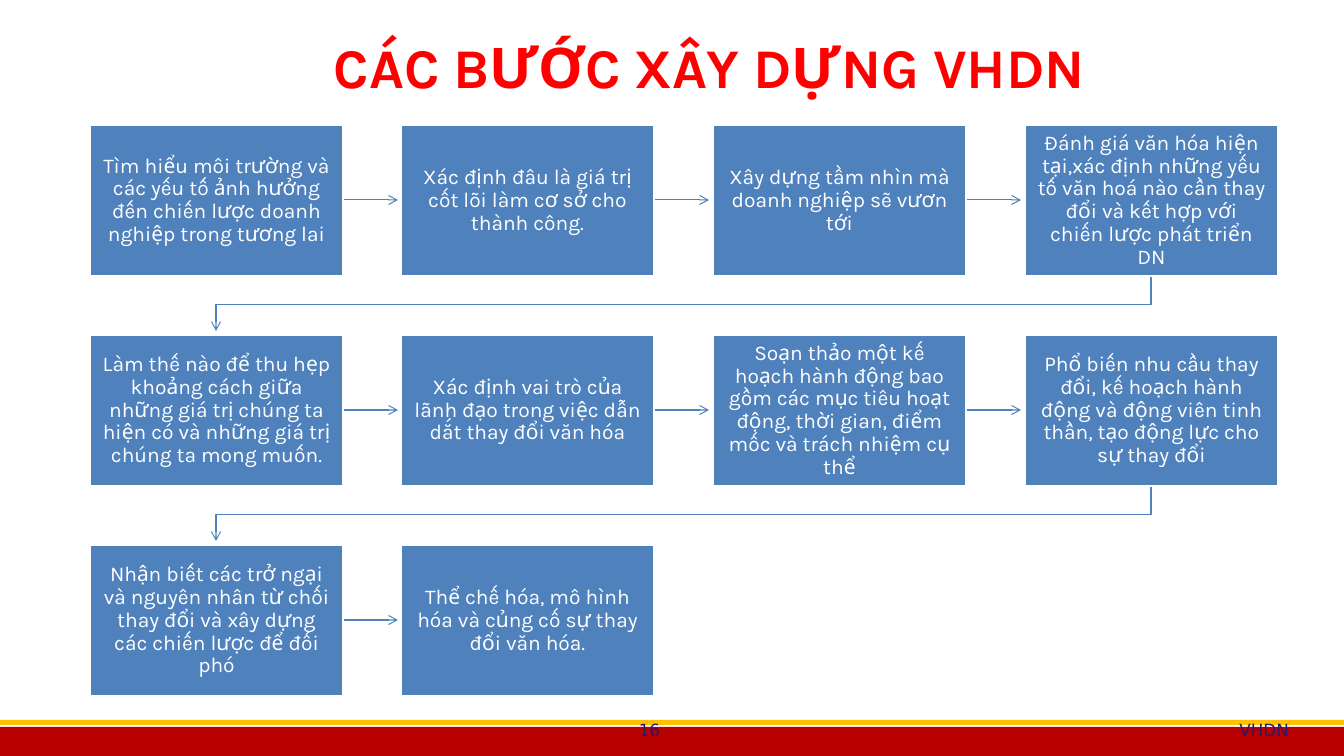
from dataclasses import dataclass
from lxml.etree import SubElement as Sub
from pptx import Presentation
from pptx.dml.color import RGBColor as Rgb
from pptx.enum.shapes import MSO_CONNECTOR as Conn, MSO_SHAPE as Kind
from pptx.enum.text import MSO_ANCHOR as Anchor, PP_ALIGN as Align
from pptx.oxml.ns import qn
from pptx.util import Pt

TITLE = "CÁC BƯỚC XÂY DỰNG VHDN"
STEPS = [
    "Tìm hiểu môi trường và các yếu tố ảnh hưởng đến chiến lược doanh nghiệp trong tương lai",
    "Xác định đâu là giá trị cốt lõi làm cơ sở cho thành công.",
    "Xây dựng tầm nhìn mà doanh nghiệp sẽ vươn tới",
    "Đánh giá văn hóa hiện tại,xác định những yếu tố văn hoá nào cần thay đổi và kết hợp với chiến lược phát triển DN",
    "Làm thế nào để thu hẹp khoảng cách giữa những giá trị chúng ta hiện có và những giá trị chúng ta mong muốn.",
    "Xác định vai trò của lãnh đạo trong việc dẫn dắt thay đổi văn hóa",
    "Soạn thảo một kế hoạch hành động bao gồm các mục tiêu hoạt động, thời gian, điểm mốc và trách nhiệm cụ thể",
    "Phổ biến nhu cầu thay đổi, kế hoạch hành động và động viên tinh thần, tạo động lực cho sự thay đổi",
    "Nhận biết các trở ngại và nguyên nhân từ chối thay đổi và xây dựng các chiến lược để đối phó",
    "Thể chế hóa, mô hình hóa và củng cố sự thay đổi văn hóa.",
]
PAGE = "16"
FOOT = "VHDN"


@dataclass(frozen=True)
class Theme:
    red: str = "FF0000"
    blue: str = "4F81BD"
    white: str = "FFFFFF"
    band: str = "B80000"
    gold: str = "FFC000"
    navy: str = "2B166E"
    font: str = "Karla"
    small: str = "DejaVu Sans"
    head: int = 40
    body: int = 15
    foot: int = 12
    edge: float = 2
    line: float = 0.75


T = Theme()
SCALE = 914400 / 100.8
COLS = 4
LEFT, TOP = 90, 125
WIDE, HIGH = 253, 151
SPAN, DROP = 935, 210
REACH, BEND, FALL = 55, 29, 55


def px(num):
    return round(num * SCALE)


def color(code):
    return Rgb.from_string(code)


def write(shape, text, size, font, ink, align, pads, bold=False, mid=True):
    frame = shape.text_frame
    frame.text = text
    frame.word_wrap = True
    frame.vertical_anchor = Anchor.MIDDLE if mid else Anchor.TOP
    frame.margin_left, frame.margin_top, frame.margin_right, frame.margin_bottom = map(px, pads)
    para = frame.paragraphs[0]
    para.alignment = align
    face = para.runs[0].font
    face.name, face.size, face.bold = font, Pt(size), bold
    face.color.rgb = color(ink)
    return para


def label(box, *args, **opts):
    return write(slide.shapes.add_textbox(*map(px, box)), *args, **opts)


def block(box, fill):
    shape = slide.shapes.add_shape(Kind.RECTANGLE, *map(px, box))
    shape.shadow.inherit = False
    shape.fill.solid()
    shape.fill.fore_color.rgb = color(fill)
    shape.line.fill.background()
    return shape


def arrow(shape):
    shape.line.color.rgb = color(T.blue)
    shape.line.width = Pt(T.line)
    Sub(shape.line._get_or_add_ln(), qn("a:tailEnd"), type="arrow")


def place(num):
    row, col = divmod(num, COLS)
    return LEFT + SPAN * col // (COLS - 1), TOP + DROP * row


def link(num):
    x, y = place(num)
    if (num + 1) % COLS:
        mid = y + HIGH // 2
        ends = x + WIDE, mid, x + WIDE + REACH, mid
        wire = slide.shapes.add_connector(Conn.STRAIGHT, *map(px, ends))
        Sub(wire._element.spPr, qn("a:effectLst"))
        arrow(wire)
        wire._element.spPr.append(wire._element.spPr.find(qn("a:effectLst")))
        return
    start, end = x + WIDE // 2, LEFT + WIDE // 2
    base = y + HIGH
    path = slide.shapes.build_freeform(start, base, scale=SCALE)
    path.add_line_segments(
        [(start, base + BEND), (end, base + BEND), (end, base + FALL)], close=False)
    wire = path.convert_to_shape()
    wire.shadow.inherit = False
    wire.fill.background()
    arrow(wire)


def step(num, text):
    shape = block((*place(num), WIDE, HIGH), T.blue)
    shape.line.color.rgb = color(T.white)
    shape.line.width = Pt(T.edge)
    para = write(shape, text, T.body, T.font, T.white, Align.CENTER, (12, 12, 12, 12))
    para.line_spacing = 0.9


deck = Presentation()
deck.slide_width, deck.slide_height = px(1344), px(756)
slide = deck.slides.add_slide(deck.slide_layouts[6])

block((0, 727, 1344, 31), T.band)
block((-1, 720, 1346, 5), T.gold)
label((67, 35, 1210, 63), TITLE, T.head, T.font, T.red, Align.CENTER, (85, 5, 10, 5), bold=True)

for num, text in enumerate(STEPS):
    if num < len(STEPS) - 1:
        link(num)
    step(num, text)

for box, text, align in [
    ((493, 715, 313, 35), PAGE, Align.CENTER),
    ((874, 715, 425, 35), FOOT, Align.RIGHT),
]:
    label(box, text, T.foot, T.small, T.navy, align, (10, 5, 10, 5), mid=False)

deck.save("out.pptx")
